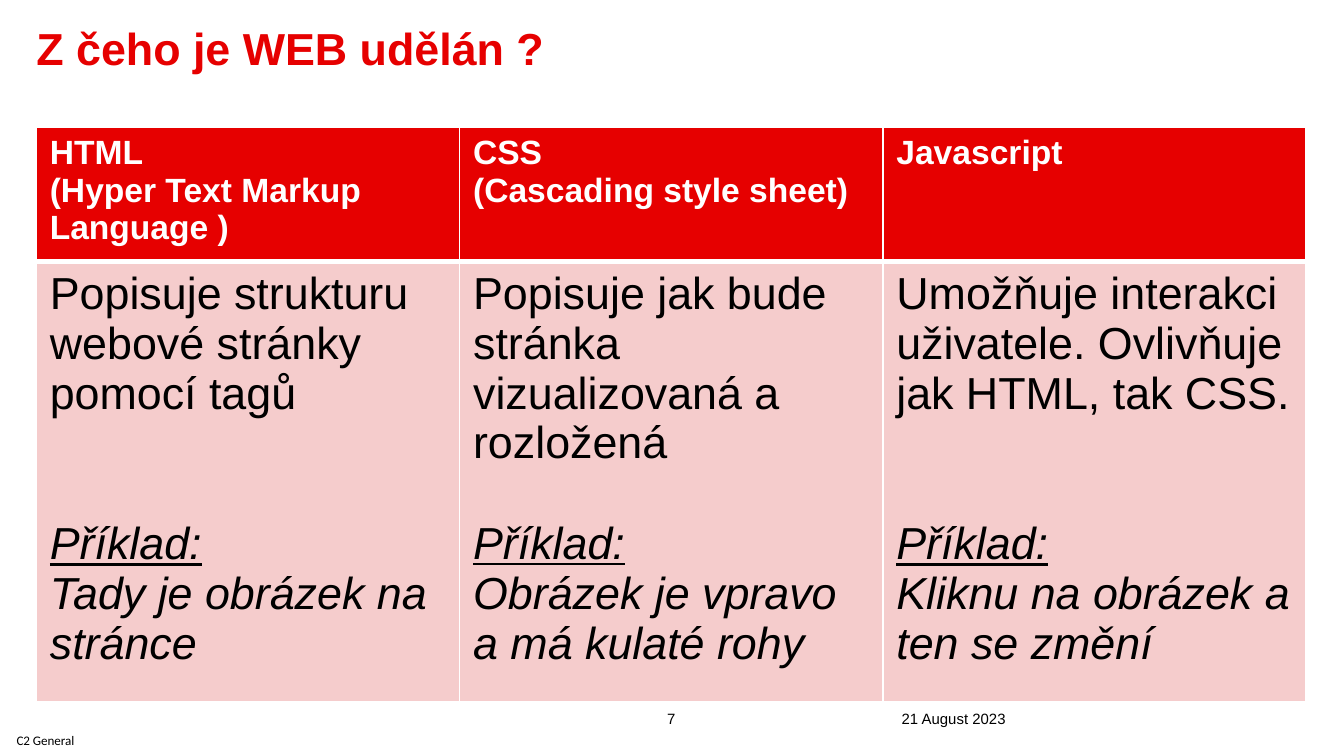
from lxml import etree
from pptx import Presentation
from pptx.dml.color import RGBColor
from pptx.enum.text import MSO_ANCHOR as Anchor, PP_ALIGN as Align
from pptx.oxml.ns import qn
from pptx.util import Pt

PX = 9525  # 96 px to the inch
COLORS = {"red": "E60000", "pink": "F5CCCC", "white": "FFFFFF", "black": "000000"}
LINE_GAP = 27  # points, one line of body text

# Header lines, description, line gaps before the example, example
COLUMNS = [
    (["HTML", "(Hyper Text Markup Language )"],
     "Popisuje strukturu webové stránky pomocí tagů", 2,
     "Tady je obrázek na stránce"),
    (["CSS", "(Cascading style sheet)"],
     "Popisuje jak bude stránka vizualizovaná a rozložená", 1,
     "Obrázek je vpravo a má kulaté rohy"),
    (["Javascript"],
     "Umožňuje interakci uživatele. Ovlivňuje jak HTML, tak CSS.", 2,
     "Kliknu na obrázek a ten se změní"),
]


def px(*lengths):
    return [length * PX for length in lengths]


def rgb(name):
    return RGBColor.from_string(COLORS[name])


def style_text(paragraph, size, color="black", font_name="Arial",
               bold=False, italic=False, underline=False):
    for run in paragraph.runs:
        font = run.font
        font.name, font.size, font.bold = font_name, Pt(size), bold
        font.italic, font.underline = italic, underline
        font.color.rgb = rgb(color)


def add_label(slide, box, text, size, anchor=Anchor.TOP, align=Align.LEFT, **style):
    text_frame = slide.shapes.add_textbox(*px(*box)).text_frame
    text_frame.word_wrap = True
    text_frame.vertical_anchor = anchor
    text_frame.margin_left = text_frame.margin_right = 0
    text_frame.margin_top = text_frame.margin_bottom = 0
    text_frame.text = text
    paragraph = text_frame.paragraphs[0]
    paragraph.alignment = align
    style_text(paragraph, size, **style)
    return paragraph


def add_title(slide, box):
    paragraph = add_label(slide, box, "Z čeho je WEB udělán ?", 24,
                          color="red", bold=True)
    paragraph.line_spacing = 0.8


def style_cell(cell, fill, top=1, bottom=1):
    properties = cell._tc.get_or_add_tcPr()
    for side, width in (("L", 1), ("R", 1), ("T", top), ("B", bottom)):
        line = etree.SubElement(properties, qn(f"a:ln{side}"), w=str(Pt(width)))
        solid = etree.SubElement(line, qn("a:solidFill"))
        etree.SubElement(solid, qn("a:srgbClr"), val=COLORS["white"])
    cell.fill.solid()
    cell.fill.fore_color.rgb = rgb(fill)


def add_technology_table(slide, box, row_height):
    frame = slide.shapes.add_table(2, len(COLUMNS), *px(*box))
    table = frame.table
    # Rows start at a minimum height and grow with their text
    for row in table.rows:
        row.height = row_height * PX
    frame.height = box[3] * PX
    for index, (heading, description, gap, example) in enumerate(COLUMNS):
        header, body = table.cell(0, index), table.cell(1, index)
        style_cell(header, "red", bottom=3)
        style_cell(body, "pink", top=3)

        header.text_frame.text = "\n".join(heading)
        for paragraph in header.text_frame.paragraphs:
            style_text(paragraph, 18, "white", bold=True)

        body.text_frame.text = "\n".join([description, "Příklad:", example])
        intro, label, sample = body.text_frame.paragraphs
        style_text(intro, 24)
        style_text(label, 24, italic=True, underline=True)
        style_text(sample, 24, italic=True)
        label.space_before = Pt(gap * LINE_GAP)


def add_footer(slide, box):
    left, top, width, height = box
    add_label(slide, (left + 458, top, 43, 25), "7", 8, Anchor.BOTTOM, Align.CENTER)
    add_label(slide, (left + 644, top, 224, 25), "21 August 2023", 8, Anchor.BOTTOM)
    add_label(slide, (left, top + height - 22, 65, 22), "C2 General", 7,
              Anchor.MIDDLE, Align.CENTER, font_name="Calibri")


def main():
    presentation = Presentation()
    presentation.slide_width, presentation.slide_height = px(960, 540)
    slide = presentation.slides.add_slide(presentation.slide_layouts[6])
    add_title(slide, (26, 22, 686, 70))
    add_technology_table(slide, (26, 91, 907, 413), row_height=39)
    add_footer(slide, (0, 495, 960, 45))
    presentation.save("out.pptx")


if __name__ == "__main__":
    main()
